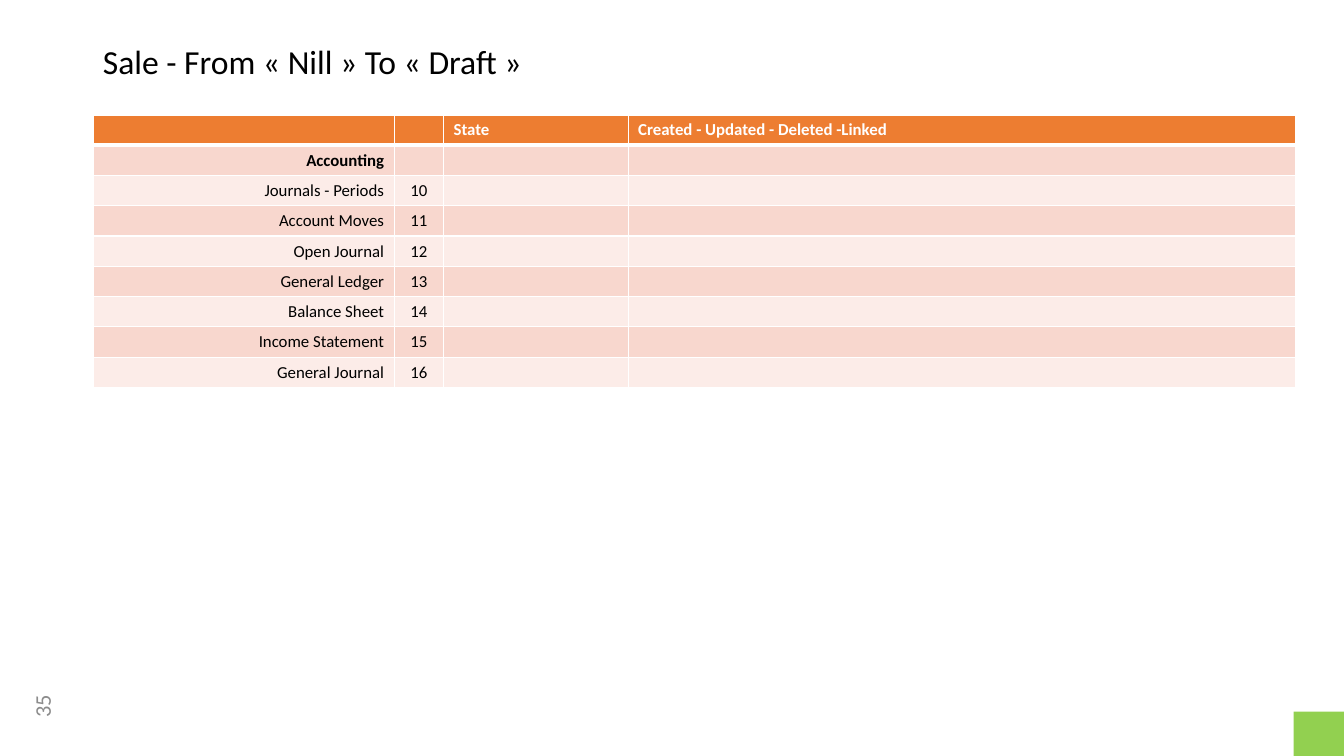
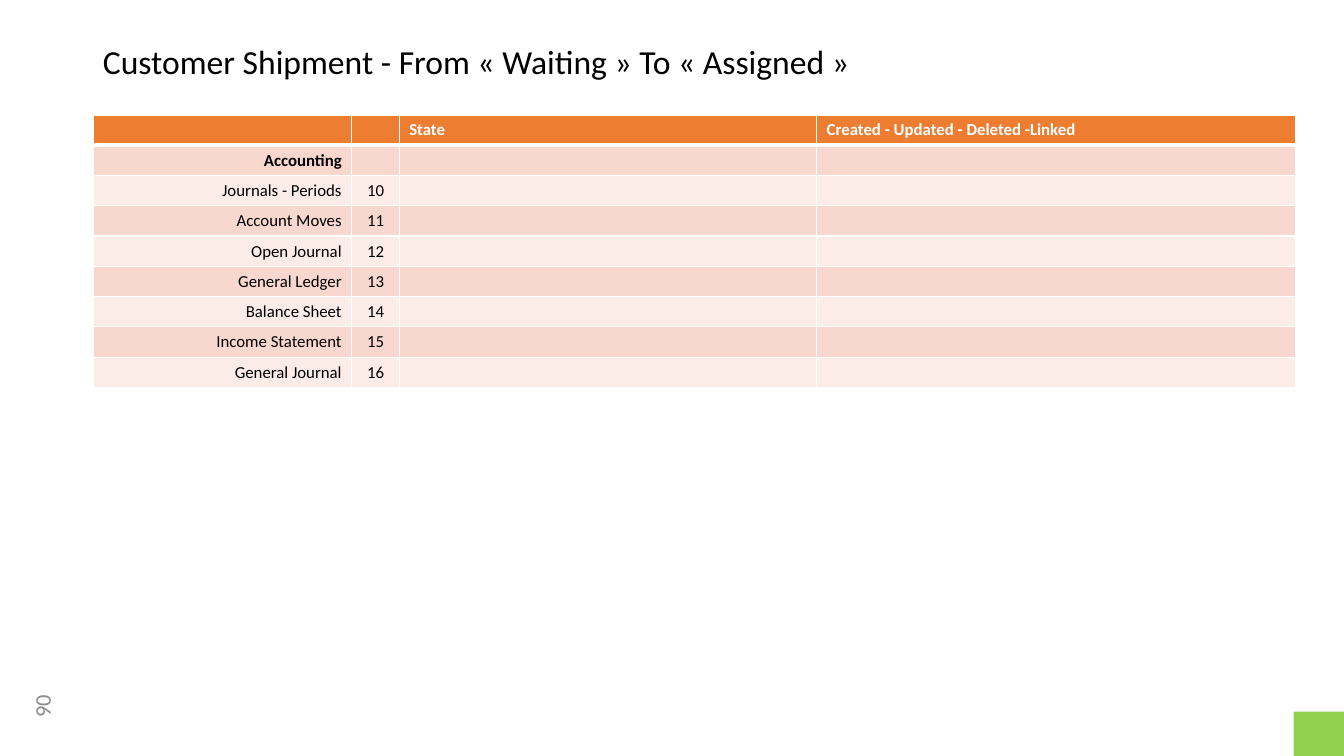
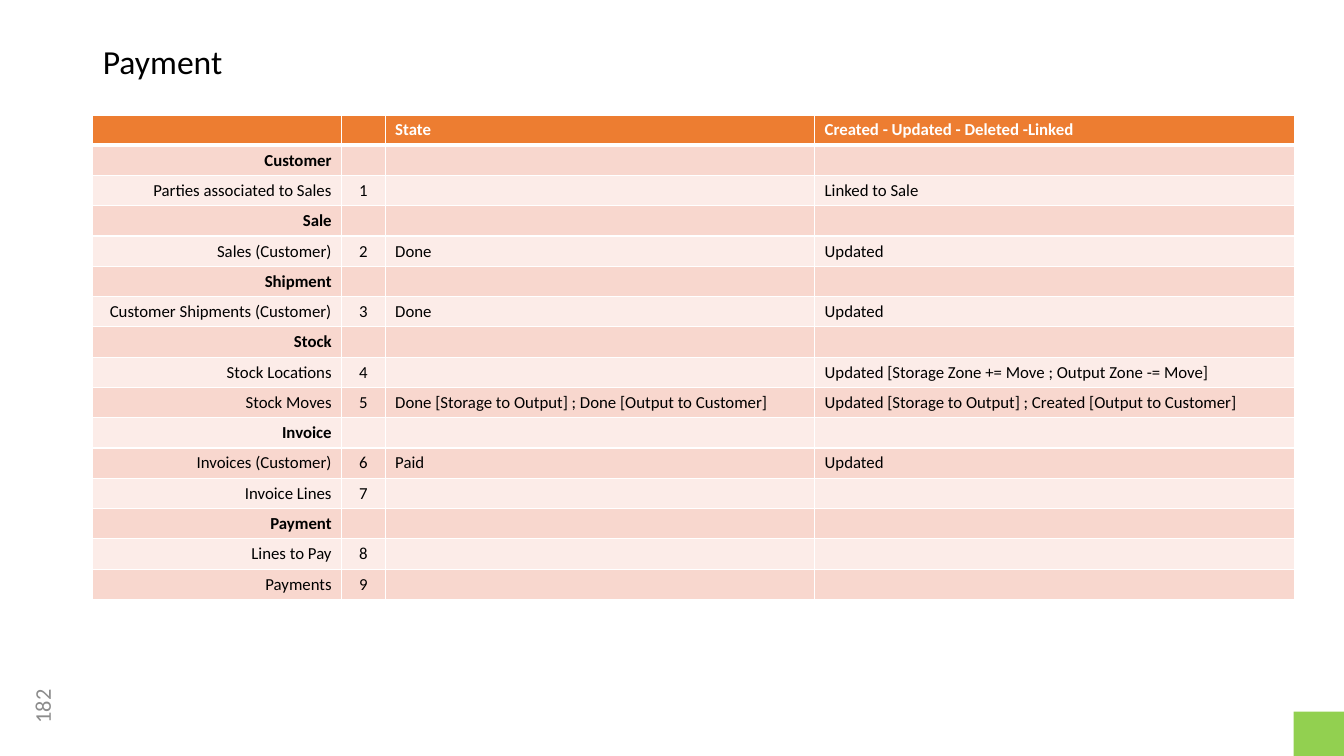
from lxml import etree
from pptx import Presentation
from pptx import util as u
from pptx.dml.color import RGBColor
from pptx.enum import shapes, text
from pptx.oxml.ns import qn

FONT = "Calibri"
COLORS = {
    "ink": "000000",
    "paper": "FFFFFF",
    "page_number": "8C8C8C",
    "corner": "92D050",
    "header": "ED7D31",
    "band_dark": "F8D7CE",
    "band_light": "FCECE8",
}
LEFT, CENTER, RIGHT = text.PP_ALIGN.LEFT, text.PP_ALIGN.CENTER, text.PP_ALIGN.RIGHT
ROW_HEIGHT = 0.3
CELL_SIZE = 12
COLUMN_ALIGNS = (RIGHT, CENTER, LEFT, LEFT)
HEADER = ("", "", "State", "Created - Updated - Deleted -Linked")

# A row with a label alone is a section heading.
ACCOUNTING = [("Accounting",)] + [
    (label, str(number))
    for number, label in enumerate(
        ("Journals - Periods", "Account Moves", "Open Journal", "General Ledger",
         "Balance Sheet", "Income Statement", "General Journal"), start=10)
]
PAYMENT = [
    ("Customer",),
    ("Parties associated to Sales", "1", "", "Linked to Sale"),
    ("Sale",),
    ("Sales (Customer)", "2", "Done", "Updated"),
    ("Shipment",),
    ("Customer Shipments (Customer)", "3", "Done", "Updated"),
    ("Stock",),
    ("Stock Locations", "4", "", "Updated [Storage Zone += Move ; Output Zone -= Move]"),
    ("Stock Moves", "5", "Done [Storage to Output] ; Done [Output to Customer]",
     "Updated [Storage to Output] ; Created [Output to Customer]"),
    ("Invoice",),
    ("Invoices (Customer)", "6", "Paid", "Updated"),
    ("Invoice Lines", "7"),
    ("Payment",),
    ("Lines to Pay", "8"),
    ("Payments", "9"),
]
PAGES = [
    ("Sale - From « Nill » To « Draft »", "35", 0.93, (2.98, 0.49, 1.83, 6.62), ACCOUNTING),
    ("Customer Shipment - From « Waiting » To « Assigned »", "90", 0.93,
     (2.56, 0.47, 4.14, 4.75), ACCOUNTING),
    ("Payment", "182", 0.92, (2.47, 0.43, 4.26, 4.76), PAYMENT),
]


def rgb(name):
    return RGBColor.from_string(COLORS[name])


def write(frame, words, size=CELL_SIZE, color="ink", bold=False, align=LEFT, spacing=None):
    para = frame.paragraphs[0]
    para.alignment = align
    para.line_spacing = spacing
    span = para.add_run()
    span.text = words
    span.font.name = FONT
    span.font.size = u.Pt(size)
    span.font.bold = bold
    span.font.color.rgb = rgb(color)


def keep_empty_cell_low(cell):
    """Size the empty paragraph so that it does not stretch its row."""
    para = cell.text_frame.paragraphs[0]
    etree.SubElement(para._p, qn("a:endParaRPr"), sz=str(CELL_SIZE * 100))


def set_borders(cell, top, bottom):
    properties = cell._tc.get_or_add_tcPr()
    for side, points in (("L", 1), ("R", 1), ("T", top), ("B", bottom)):
        line = etree.SubElement(properties, qn(f"a:ln{side}"), w=str(u.Pt(points)))
        fill = etree.SubElement(line, qn("a:solidFill"))
        etree.SubElement(fill, qn("a:srgbClr"), val=COLORS["paper"])


def add_title(page, words):
    title = page.shapes.title
    title.left, title.top = u.Inches(0.92), u.Inches(0.4)
    title.width, title.height = u.Inches(11.5), u.Inches(0.51)
    frame = title.text_frame
    frame.auto_size = text.MSO_AUTO_SIZE.NONE
    frame.vertical_anchor = text.MSO_ANCHOR.TOP
    write(frame, words, size=24, spacing=0.9)


def add_page_number(page, number):
    box = page.shapes.add_textbox(u.Inches(0.04), u.Inches(6.81), u.Inches(0.75), u.Inches(0.4))
    box.rotation = 270
    box.text_frame.word_wrap = True
    box.text_frame.vertical_anchor = text.MSO_ANCHOR.MIDDLE
    write(box.text_frame, number, size=16, color="page_number", align=CENTER)


def add_corner(page):
    corner = page.shapes.add_shape(shapes.MSO_SHAPE.RECTANGLE, u.Inches(12.83), u.Inches(7.06),
                                   u.Inches(0.51), u.Inches(0.44))
    corner.shadow.inherit = False
    corner.fill.solid()
    corner.fill.fore_color.rgb = rgb("corner")
    corner.line.fill.background()


def add_state_table(page, left, widths, body):
    rows = [HEADER] + body
    table = page.shapes.add_table(len(rows), len(widths), u.Inches(left), u.Inches(1.14),
                                  u.Inches(sum(widths)), u.Inches(ROW_HEIGHT * len(rows))).table
    for column, width in zip(table.columns, widths):
        column.width = u.Inches(width)
    for index, row in enumerate(rows):
        table.rows[index].height = u.Inches(ROW_HEIGHT)
        is_header = index == 0
        fill = "header" if is_header else "band_dark" if index % 2 else "band_light"
        for column, align in enumerate(COLUMN_ALIGNS):
            cell = table.cell(index, column)
            set_borders(cell, top=3 if index == 1 else 1, bottom=3 if is_header else 1)
            cell.fill.solid()
            cell.fill.fore_color.rgb = rgb(fill)
            words = row[column] if column < len(row) else ""
            if words:
                write(cell.text_frame, words, align=align, bold=is_header or len(row) == 1,
                      color="paper" if is_header else "ink")
            else:
                keep_empty_cell_low(cell)


def main():
    deck = Presentation()
    deck.slide_width, deck.slide_height = u.Inches(13.33), u.Inches(7.5)
    for title, number, left, widths, body in PAGES:
        page = deck.slides.add_slide(deck.slide_layouts[5])
        add_title(page, title)
        add_page_number(page, number)
        add_corner(page)
        add_state_table(page, left, widths, body)
    deck.save("out.pptx")


if __name__ == "__main__":
    main()
